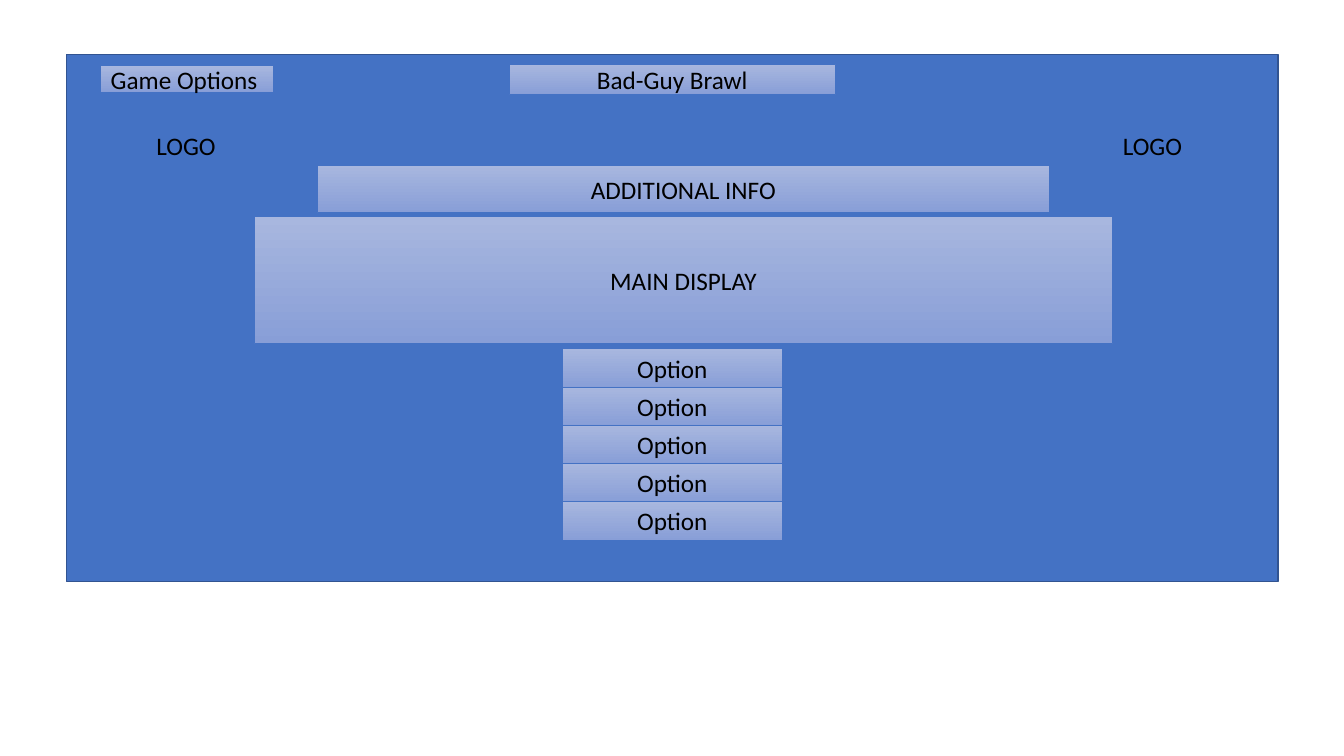
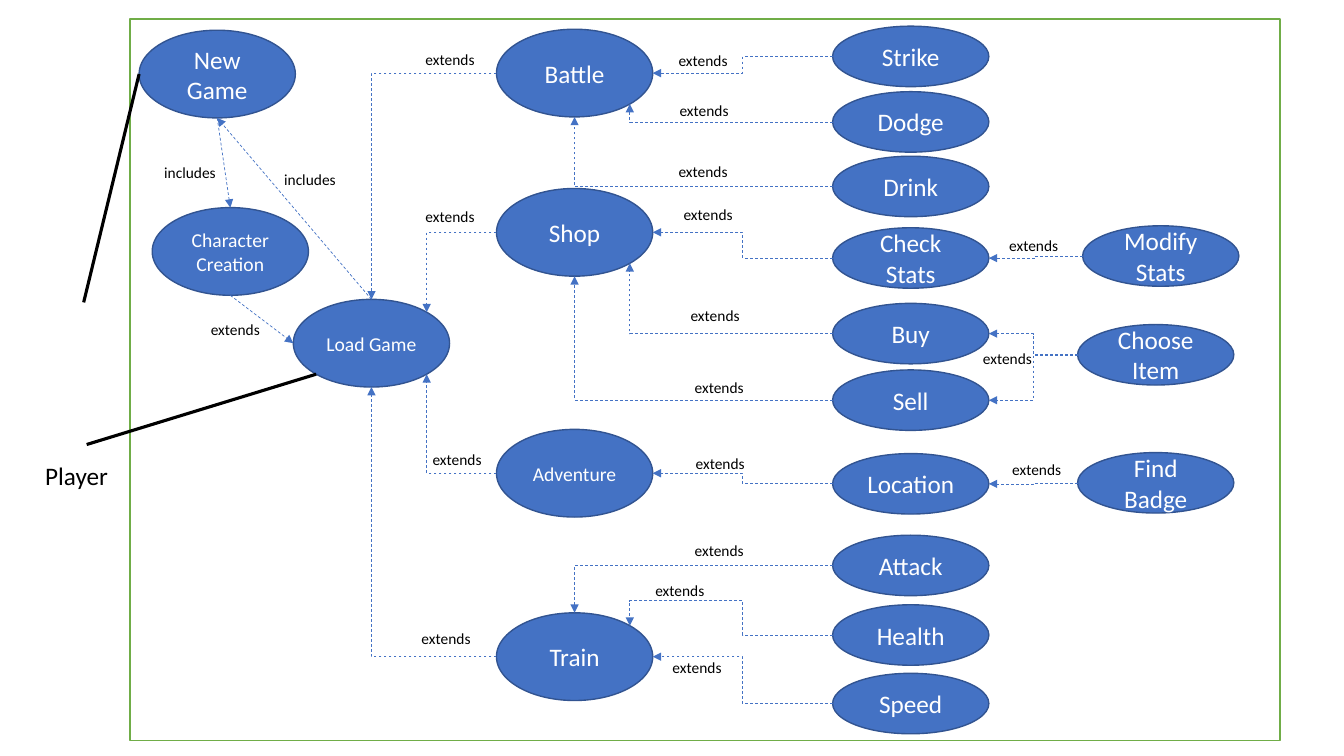
"""Build a game screen wireframe and a use case diagram on a grid of tenth-inch cells."""
from math import cos, radians, sin
from typing import NamedTuple, Optional

from pptx import Presentation
from pptx.dml.color import RGBColor
from pptx.enum.dml import MSO_LINE
from pptx.enum.shapes import MSO_CONNECTOR, MSO_SHAPE
from pptx.enum.text import MSO_ANCHOR, MSO_AUTO_SIZE, PP_ALIGN
from pptx.oxml.ns import qn
from pptx.shapes.autoshape import Shape
from pptx.shapes.connector import Connector
from pptx.slide import Slide
from pptx.util import Emu, Inches, Pt
from lxml import etree

RECTANGLE, ELLIPSE = MSO_SHAPE.RECTANGLE, MSO_SHAPE.OVAL
STRAIGHT, ELBOW = MSO_CONNECTOR.STRAIGHT, MSO_CONNECTOR.ELBOW
CENTER, LEFT_ALIGN = PP_ALIGN.CENTER, PP_ALIGN.LEFT
MIDDLE, FIT_TEXT, DASH = MSO_ANCHOR.MIDDLE, MSO_AUTO_SIZE.SHAPE_TO_FIT_TEXT, MSO_LINE.DASH
BLANK_LAYOUT = 6
TOP, LEFT, LOWER_LEFT, BOTTOM, LOWER_RIGHT, RIGHT, UPPER_RIGHT = 0, 2, 3, 4, 5, 6, 7

CELL = Inches(0.1)
COLUMNS, ROWS = 133.33, 75
COLORS = {
    "accent": "4472C4", "outline": "325491", "frame": "70AD47",
    "panel_top": "A8B7DF", "panel_bottom": "889ED7",
    "ink": "000000", "paper": "FFFFFF",
}
FONT = {"name": "Calibri", "bold": False}
FRAME_FORMAT = {"word_wrap": True, "vertical_anchor": MIDDLE}
CAPTION_FORMAT = {"word_wrap": True, "auto_size": FIT_TEXT}

FEATURE, ACTION, DETAIL = 49.25, 82.6, 106.9
CASE_WIDTH, BIG, SMALL = 15.5, 8.7, 6
LABEL_WIDTH, LABEL_HEIGHT = 7.7, 2.9


class Box(NamedTuple):
    left: float
    top: float
    width: float
    height: float


class Panel(NamedTuple):
    text: str
    box: Box
    align: PP_ALIGN = CENTER


class UseCase(NamedTuple):
    name: str
    left: float
    top: float
    height: float = SMALL
    size: int = 18

    @property
    def box(self) -> Box:
        return Box(self.left, self.top, CASE_WIDTH, self.height)

    def site(self, index: int) -> tuple[float, float]:
        angle = radians(45 * index)
        return (self.left + CASE_WIDTH / 2 * (1 - sin(angle)),
                self.top + self.height / 2 * (1 - cos(angle)))


class Link(NamedTuple):
    source: str
    target: str
    end: int
    label_at: Optional[tuple[float, float]] = None
    start: int = LEFT
    label: str = "extends"
    bends: tuple[int, ...] = ()


OPTION_TOP, OPTION_PITCH, OPTION_COUNT = 34.6, 3.78, 5
PANELS = [
    Panel("Bad-Guy Brawl", Box(50.5, 6.4, 32.4, 3)),
    Panel("Game Options", Box(10, 6.5, 17.1, 2.7), LEFT_ALIGN),
    Panel("ADDITIONAL INFO", Box(31.5, 16.4, 72.6, 4.7)),
    Panel("MAIN DISPLAY", Box(25.2, 21.5, 85.2, 12.6)),
] + [Panel("Option", Box(55.8, OPTION_TOP + row * OPTION_PITCH, 21.8, 3.9))
     for row in range(OPTION_COUNT)]
LOGO_MARKS = [
    Panel("LOGO", Box(11.7, 12.4, 13.5, 4)),
    Panel("LOGO", Box(110.4, 12.4, 13.5, 4), LEFT_ALIGN),
]

USE_CASES = [
    UseCase("New Game", 13.8, 3, BIG),
    UseCase("Character Creation", 15.1, 20.6, BIG, 14),
    UseCase("Load Game", 29.1, 29.7, BIG, 14),
    UseCase("Battle", FEATURE, 2.9, BIG),
    UseCase("Shop", FEATURE, 18.7, BIG),
    UseCase("Adventure", FEATURE, 42.6, BIG, 14),
    UseCase("Train", FEATURE, 60.8, BIG),
    UseCase("Strike", ACTION, 2.6),
    UseCase("Dodge", ACTION, 9.1),
    UseCase("Drink", ACTION, 15.5),
    UseCase("Check Stats", ACTION, 22.6),
    UseCase("Buy", ACTION, 30.1),
    UseCase("Sell", ACTION, 36.7),
    UseCase("Location", ACTION, 45),
    UseCase("Attack", ACTION, 53.1),
    UseCase("Health", ACTION, 60),
    UseCase("Speed", ACTION, 66.8),
    UseCase("Modify Stats", 107.4, 22.4),
    UseCase("Choose Item", DETAIL, 32.2),
    UseCase("Find Badge", DETAIL, 44.9),
]
LINKS = [
    Link("Battle", "Load Game", TOP, (40.8, 4.5)),
    Link("Shop", "Load Game", UPPER_RIGHT, (40.8, 20.1)),
    Link("Adventure", "Load Game", LOWER_RIGHT, (41.5, 44.2)),
    Link("Train", "Load Game", BOTTOM, (40.4, 61.9)),
    Link("Strike", "Battle", RIGHT, (65.9, 4.6)),
    Link("Dodge", "Battle", LOWER_RIGHT, (66, 9.5)),
    Link("Drink", "Battle", BOTTOM, (65.9, 15.6)),
    Link("Check Stats", "Shop", RIGHT, (66.4, 19.9)),
    Link("Buy", "Shop", LOWER_RIGHT, (67.1, 29.9)),
    Link("Sell", "Shop", BOTTOM, (67.5, 37)),
    Link("Location", "Adventure", RIGHT, (67.6, 44.6)),
    Link("Attack", "Train", TOP, (67.5, 53.2)),
    Link("Health", "Train", UPPER_RIGHT, (63.6, 57.2), bends=(44400, 370400)),
    Link("Speed", "Train", RIGHT, (65.3, 64.8)),
    Link("Modify Stats", "Check Stats", RIGHT, (98.7, 22.9)),
    Link("Choose Item", "Buy", RIGHT, (96.1, 34.1)),
    Link("Choose Item", "Sell", RIGHT),
    Link("Find Badge", "Location", RIGHT, (99, 45.2)),
    Link("New Game", "Character Creation", TOP, (15, 15.7), BOTTOM, "includes"),
    Link("Load Game", "New Game", BOTTOM, (26.9, 16.4), TOP, "includes"),
    Link("Character Creation", "Load Game", LEFT, (19.5, 31.3), BOTTOM),
]
PLAYER_LINES = [("New Game", LEFT, (8.3, 30)), ("Load Game", LOWER_LEFT, (8.6, 44.1))]


def cells(*counts: float) -> list[Emu]:
    return [Emu(round(count * CELL)) for count in counts]


def color(key: str) -> RGBColor:
    return RGBColor.from_string(COLORS[key])


def apply(target: object, values: dict) -> None:
    for attribute, value in values.items():
        setattr(target, attribute, value)


def write(shape: Shape, text: str, size: int, ink: str, align: PP_ALIGN, layout: dict) -> None:
    apply(shape.text_frame, layout)
    paragraph = shape.text_frame.paragraphs[0]
    paragraph.alignment = align
    run = paragraph.add_run()
    run.text = text
    apply(run.font, {**FONT, "size": Pt(size)})
    run.font.color.rgb = color(ink)


def add_block(slide: Slide, kind: MSO_SHAPE, box: Box, fill: str, outline: str,
              weight: float = 1) -> Shape:
    block = slide.shapes.add_shape(kind, *cells(*box))
    block.shadow.inherit = False
    block.fill.solid()
    block.fill.fore_color.rgb = color(fill)
    block.line.color.rgb = color(outline)
    block.line.width = Pt(weight)
    return block


def add_panel(slide: Slide, panel: Panel) -> None:
    block = add_block(slide, RECTANGLE, panel.box, "panel_top", "accent", 0.5)
    block.fill.gradient()
    block.fill.gradient_angle = 270
    for stop, key in zip(block.fill.gradient_stops, ("panel_top", "panel_bottom")):
        stop.color.rgb = color(key)
    write(block, panel.text, 18, "ink", panel.align, FRAME_FORMAT)


def add_caption(slide: Slide, text: str, box: Box, size: int = 18,
                align: PP_ALIGN = CENTER) -> None:
    caption = slide.shapes.add_textbox(*cells(*box))
    write(caption, text, size, "ink", align, CAPTION_FORMAT)


def add_line(slide: Slide, kind: MSO_CONNECTOR, start: tuple[float, float],
             end: tuple[float, float], ink: str, weight: float) -> Connector:
    line = slide.shapes.add_connector(kind, *cells(*start, *end))
    line.line.color.rgb = color(ink)
    line.line.width = Pt(weight)
    etree.SubElement(line._element.spPr, qn("a:effectLst"))
    return line


def bend(line: Connector, link: Link) -> None:
    properties = line._element.spPr
    turns = link.bends or ((50000,) if link.end == RIGHT else ())
    properties.prstGeom.set("prst", f"bentConnector{len(turns) + 2}")
    properties.prstGeom.rewrite_guides(
        [(f"adj{number}", turn) for number, turn in enumerate(turns, 1)])
    downward = not properties.xfrm.flipV
    apply(properties.xfrm, {"rot": 180.0, "flipH": False, "flipV": downward})


def add_link(slide: Slide, link: Link, cases: dict[str, UseCase],
             ellipses: dict[str, Shape]) -> None:
    elbow = link.start == LEFT
    line = add_line(slide, ELBOW if elbow else STRAIGHT, cases[link.source].site(link.start),
                    cases[link.target].site(link.end), "accent", 0.5)
    line.line.dash_style = DASH
    etree.SubElement(line._element.spPr.get_or_add_ln(), qn("a:tailEnd"), type="triangle")
    if elbow:
        bend(line, link)
    joints = line._element.nvCxnSpPr.cNvCxnSpPr
    apply(joints.get_or_add_stCxn(), {"id": ellipses[link.source].shape_id, "idx": link.start})
    apply(joints.get_or_add_endCxn(), {"id": ellipses[link.target].shape_id, "idx": link.end})


def build_wireframe(slide: Slide) -> None:
    add_block(slide, RECTANGLE, Box(6.6, 5.4, 120.2, 52.3), "accent", "outline")
    for panel in PANELS:
        add_panel(slide, panel)
    for mark in LOGO_MARKS:
        add_caption(slide, mark.text, mark.box, align=mark.align)


def build_use_cases(slide: Slide) -> None:
    add_caption(slide, "Player", Box(0, 45.2, 15.2, 4))
    add_block(slide, RECTANGLE, Box(12.9, 1.9, 114.1, 71.6), "paper", "frame")
    cases = {case.name: case for case in USE_CASES}
    ellipses = {}
    for case in USE_CASES:
        ellipse = add_block(slide, ELLIPSE, case.box, "accent", "outline")
        write(ellipse, case.name, case.size, "paper", CENTER, FRAME_FORMAT)
        ellipses[case.name] = ellipse
    for link in LINKS:
        add_link(slide, link, cases, ellipses)
        if link.label_at:
            add_caption(slide, link.label, Box(*link.label_at, LABEL_WIDTH, LABEL_HEIGHT), 11)
    for name, site, hand in PLAYER_LINES:
        add_line(slide, STRAIGHT, cases[name].site(site), hand, "ink", 2.25)


def main() -> None:
    deck = Presentation()
    deck.slide_width, deck.slide_height = cells(COLUMNS, ROWS)
    for build in (build_wireframe, build_use_cases):
        build(deck.slides.add_slide(deck.slide_layouts[BLANK_LAYOUT]))
    deck.save("out.pptx")


if __name__ == "__main__":
    main()
